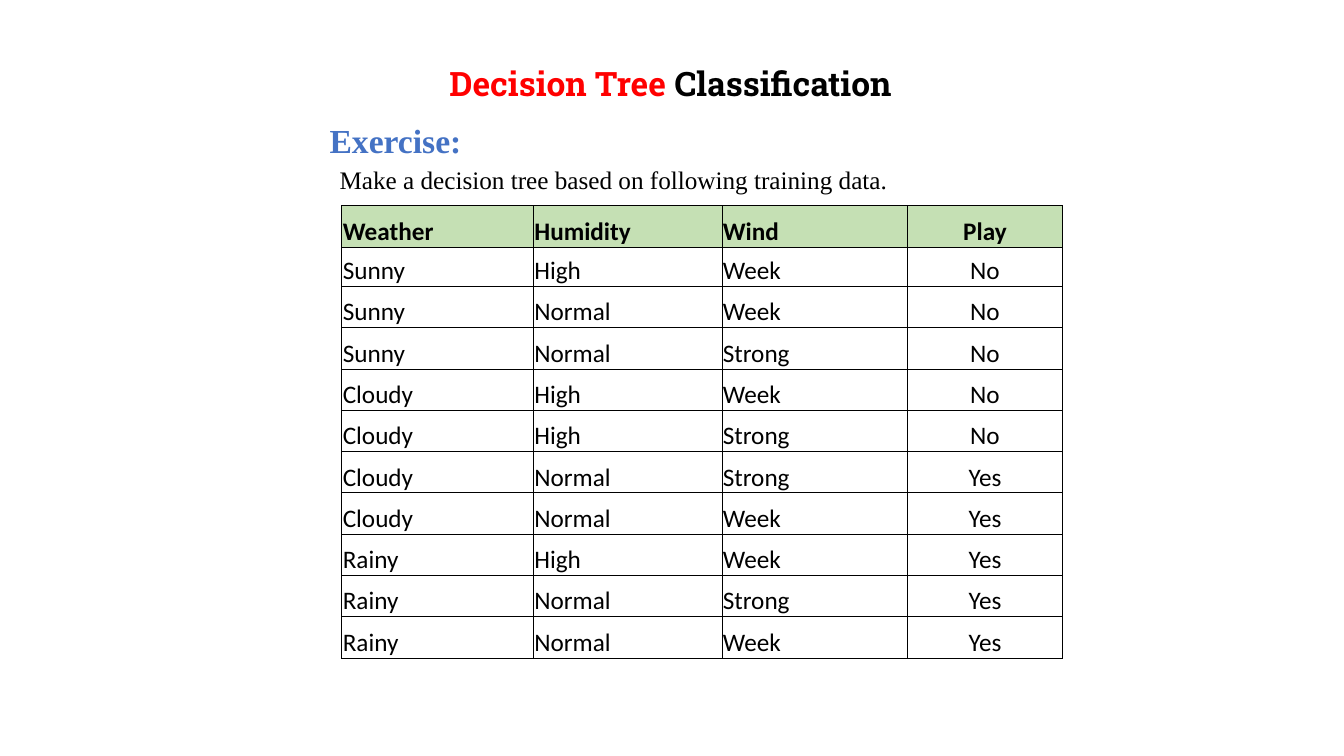
"""Build the decision tree exercise slide with its training data table."""
from dataclasses import dataclass

from lxml.etree import SubElement
from pptx import Presentation
from pptx.dml.color import RGBColor as Color
from pptx.enum.text import MSO_ANCHOR as Anchor, PP_ALIGN as Align
from pptx.oxml.ns import qn
from pptx.util import Inches, Pt


@dataclass(frozen=True)
class Theme:
    black: str = "000000"
    red: str = "FF0000"
    blue: str = "4472C4"
    green: str = "C5E0B4"
    heading_size: int = 24
    body_size: int = 18
    border_width: float = 0.5
    title_font: str = "Roboto Slab"
    text_font: str = "Times New Roman"
    table_font: str = "Calibri"


theme = Theme()


def add_span(para, text, font, size, color, bold=False):
    span = para.add_run()
    span.text = text
    span.font.name = font
    span.font.size = Pt(size)
    span.font.bold = bold
    span.font.color.rgb = Color.from_string(color)


def add_borders(cell):
    properties = cell._tc.get_or_add_tcPr()
    for side in ("a:lnL", "a:lnR", "a:lnT", "a:lnB"):
        line = SubElement(properties, qn(side), w=str(Pt(theme.border_width)))
        fill = SubElement(line, qn("a:solidFill"))
        SubElement(fill, qn("a:srgbClr"), val=theme.black)


deck = Presentation()
deck.slide_width = Inches(13.33)
deck.slide_height = Inches(7.5)
page = deck.slides.add_slide(deck.slide_layouts[6])

records = [
    ("Weather", "Humidity", "Wind", "Play"),
    ("Sunny", "High", "Week", "No"),
    ("Sunny", "Normal", "Week", "No"),
    ("Sunny", "Normal", "Strong", "No"),
    ("Cloudy", "High", "Week", "No"),
    ("Cloudy", "High", "Strong", "No"),
    ("Cloudy", "Normal", "Strong", "Yes"),
    ("Cloudy", "Normal", "Week", "Yes"),
    ("Rainy", "High", "Week", "Yes"),
    ("Rainy", "Normal", "Strong", "Yes"),
    ("Rainy", "Normal", "Week", "Yes"),
]
column_widths = (1.9, 1.87, 1.84, 1.54)
table = page.shapes.add_table(
    len(records), len(column_widths),
    Inches(3.39), Inches(2.04), Inches(7.14), Inches(4.49),
).table
table.first_row = False
table.horz_banding = False
for column, width in zip(table.columns, column_widths):
    column.width = Inches(width)

for row_index, record in enumerate(records):
    is_header = row_index == 0
    table.rows[row_index].height = Inches(0.39 if row_index == 1 else 0.41)
    for column_index, value in enumerate(record):
        cell = table.cell(row_index, column_index)
        cell.margin_left = cell.margin_right = cell.margin_top = Inches(0.01)
        cell.margin_bottom = Inches(0)
        cell.vertical_anchor = Anchor.BOTTOM
        add_borders(cell)
        if is_header:
            cell.fill.solid()
            cell.fill.fore_color.rgb = Color.from_string(theme.green)
        else:
            cell.fill.background()
        para = cell.text_frame.paragraphs[0]
        para.alignment = Align.CENTER if column_index == 3 else Align.LEFT
        add_span(para, value, theme.table_font, theme.body_size, theme.black, is_header)

headings = [
    ((3.39, 0.52, 6.52, 0.56), True, Align.CENTER, 1.15, [
        ("Decision Tree ", theme.title_font, theme.heading_size, theme.red, True),
        ("Classification", theme.title_font, theme.heading_size, theme.black, True),
    ]),
    ((3.17, 1.12, 1.51, 0.52), False, Align.LEFT, 1.06, [
        ("Exercise:", theme.text_font, theme.heading_size, theme.blue, True),
    ]),
    ((3.27, 1.56, 5.64, 0.42), False, Align.LEFT, 1.06, [
        ("Make a decision tree based on following training data.",
         theme.text_font, theme.body_size, theme.black),
    ]),
]
for place, wraps, alignment, spacing, spans in headings:
    box = page.shapes.add_textbox(*map(Inches, place))
    box.text_frame.word_wrap = wraps
    para = box.text_frame.paragraphs[0]
    para.alignment = alignment
    para.line_spacing = spacing
    for span in spans:
        add_span(para, *span)

deck.save("out.pptx")
